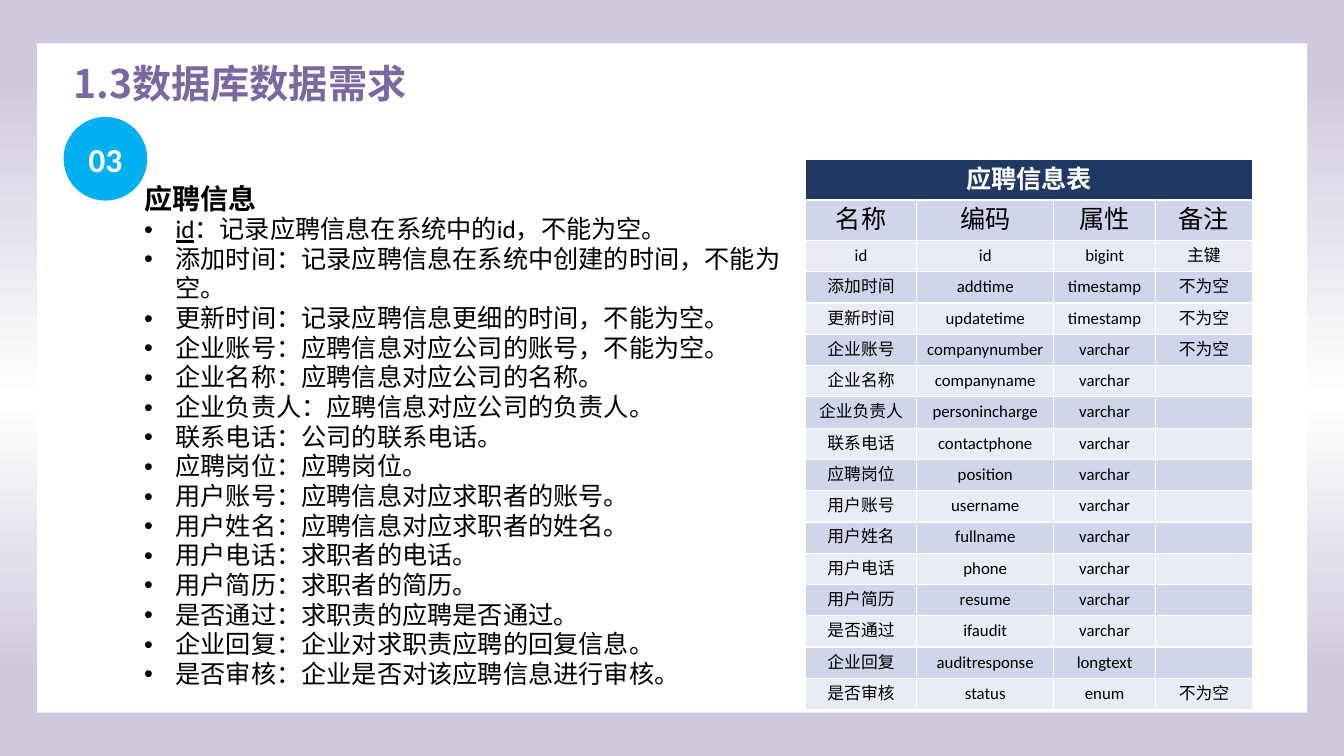
import pptx
import pptx.util
import pptx.dml.color
import pptx.enum.shapes
import pptx.enum.text
import pptx.oxml.ns
from lxml import etree

Pt = pptx.util.Pt
qn = pptx.oxml.ns.qn
ALIGN = pptx.enum.text.PP_ALIGN
ANCHOR = pptx.enum.text.MSO_ANCHOR

LAVENDER, WHITE, BLACK = "D0C9DD", "FFFFFF", "000000"
PURPLE, SKY, NAVY = "7B68A1", "00B0F0", "203864"
BANDS = ("E9EBF5", "CFD5EA")

FIELD_NOTES = [
    ("id", "：记录应聘信息在系统中的id，不能为空。"),
    ("", "添加时间：记录应聘信息在系统中创建的时间，不能为空。"),
    ("", "更新时间：记录应聘信息更细的时间，不能为空。"),
    ("", "企业账号：应聘信息对应公司的账号，不能为空。"),
    ("", "企业名称：应聘信息对应公司的名称。"),
    ("", "企业负责人：应聘信息对应公司的负责人。"),
    ("", "联系电话：公司的联系电话。"),
    ("", "应聘岗位：应聘岗位。"),
    ("", "用户账号：应聘信息对应求职者的账号。"),
    ("", "用户姓名：应聘信息对应求职者的姓名。"),
    ("", "用户电话：求职者的电话。"),
    ("", "用户简历：求职者的简历。"),
    ("", "是否通过：求职责的应聘是否通过。"),
    ("", "企业回复：企业对求职责应聘的回复信息。"),
    ("", "是否审核：企业是否对该应聘信息进行审核。"),
]

FIELDS = [
    ("名称", "编码", "属性", "备注"),
    ("id", "id", "bigint", "主键"),
    ("添加时间", "addtime", "timestamp", "不为空"),
    ("更新时间", "updatetime", "timestamp", "不为空"),
    ("企业账号", "companynumber", "varchar", "不为空"),
    ("企业名称", "companyname", "varchar", ""),
    ("企业负责人", "personincharge", "varchar", ""),
    ("联系电话", "contactphone", "varchar", ""),
    ("应聘岗位", "position", "varchar", ""),
    ("用户账号", "username", "varchar", ""),
    ("用户姓名", "fullname", "varchar", ""),
    ("用户电话", "phone", "varchar", ""),
    ("用户简历", "resume", "varchar", ""),
    ("是否通过", "ifaudit", "varchar", ""),
    ("企业回复", "auditresponse", "longtext", ""),
    ("是否审核", "status", "enum", "不为空"),
]


def color(hex_string):
    return pptx.dml.color.RGBColor.from_string(hex_string)


def paint(target, hex_string):
    target.fill.solid()
    target.fill.fore_color.rgb = color(hex_string)


def write(para, text, size=18, font="Calibri", ink=BLACK, bold=False,
          underline=False, align=ALIGN.LEFT):
    """Append a formatted span; empty text only fixes the line height."""
    para.alignment = align
    if not text:
        etree.SubElement(para._p, qn("a:endParaRPr"), sz=str(size * 100))
        return
    span = para.add_run()
    span.text = text
    span.font.size = Pt(size)
    span.font.bold = bold
    span.font.underline = underline
    span.font.color.rgb = color(ink)
    span.font.name = font
    etree.SubElement(span.font._element, qn("a:ea"), typeface=font)


def add_bullet(para, indent):
    props = para._p.get_or_add_pPr()
    props.set("marL", str(Pt(indent)))
    props.set("indent", str(-Pt(indent)))
    etree.SubElement(props, qn("a:buFont"), typeface="Arial")
    etree.SubElement(props, qn("a:buChar"), char="•")


def add_borders(cell):
    props = cell._tc.get_or_add_tcPr()
    for index, side in enumerate(("lnL", "lnR", "lnT", "lnB")):
        line = etree.Element(qn("a:" + side), w=str(Pt(1)))
        fill = etree.SubElement(line, qn("a:solidFill"))
        etree.SubElement(fill, qn("a:srgbClr"), val=WHITE)
        props.insert(index, line)


def add_panel(page, kind, fill, left, top, width, height):
    shape = page.shapes.add_shape(kind, Pt(left), Pt(top), Pt(width), Pt(height))
    shape.shadow.inherit = False
    paint(shape, fill)
    shape.line.fill.background()
    return shape


def add_text_frame(page, left, top, width, height):
    box = page.shapes.add_textbox(Pt(left), Pt(top), Pt(width), Pt(height))
    box.text_frame.word_wrap = True
    return box.text_frame


def draw_background(page):
    fill = page.background.fill
    fill.gradient()
    fill.gradient_angle = 270
    stops = next(page.element.iter(qn("a:gsLst")))
    for stop in list(stops):
        stops.remove(stop)
    for percent, shade in ((10, LAVENDER), (53, WHITE), (89, LAVENDER)):
        stop = etree.SubElement(stops, qn("a:gs"), pos=str(percent * 1000))
        etree.SubElement(stop, qn("a:srgbClr"), val=shade)
    add_panel(page, pptx.enum.shapes.MSO_SHAPE.RECTANGLE, WHITE,
              26.6, 31, 907.2, 478.1)


def draw_title(page, left, top, width, height):
    frame = add_text_frame(page, left, top, width, height)
    write(frame.paragraphs[0], "1.3数据库数据需求", size=28,
          font="Noto Sans CJK SC", ink=PURPLE, bold=True)


def draw_number(page, left, top, size):
    badge = add_panel(page, pptx.enum.shapes.MSO_SHAPE.OVAL, SKY,
                      left, top, size, size)
    badge.text_frame.vertical_anchor = ANCHOR.MIDDLE
    write(badge.text_frame.paragraphs[0], "03", size=24, ink=WHITE, bold=True,
          align=ALIGN.CENTER)


def draw_notes(page, left, top, width, height):
    frame = add_text_frame(page, left, top, width, height)
    write(frame.paragraphs[0], "应聘信息", size=20, bold=True)
    for key, note in FIELD_NOTES:
        para = frame.add_paragraph()
        add_bullet(para, 22.5)
        para.line_spacing = 0.98
        if key:
            write(para, key, underline=True)
        write(para, note)


def draw_field_table(page, left, top, widths, head_height, row_height):
    heights = [head_height] * 2 + [row_height] * (len(FIELDS) - 1)
    table = page.shapes.add_table(
        len(heights), len(widths), Pt(left), Pt(top),
        Pt(sum(widths)), Pt(sum(heights))).table
    table.first_row = table.horz_banding = False
    for column, width in zip(table.columns, widths):
        column.width = Pt(width)
    for row, height in zip(table.rows, heights):
        row.height = Pt(height)

    heading = table.cell(0, 0)
    heading.merge(table.cell(0, len(widths) - 1))
    paint(heading, NAVY)
    write(heading.text_frame.paragraphs[0], "应聘信息表", ink=WHITE, bold=True,
          align=ALIGN.CENTER)
    for row, entries in enumerate(FIELDS, start=1):
        for column, text in enumerate(entries):
            cell = table.cell(row, column)
            paint(cell, BANDS[row % 2])
            add_borders(cell)
            write(cell.text_frame.paragraphs[0], text,
                  size=18 if row == 1 else 12, align=ALIGN.CENTER)


def main():
    deck = pptx.Presentation()
    deck.slide_width, deck.slide_height = Pt(960), Pt(540)
    page = deck.slides.add_slide(deck.slide_layouts[6])
    draw_background(page)
    draw_title(page, 45.4, 38.9, 285.8, 41)
    draw_field_table(page, 575.3, 113.8, (79.5, 98, 72.5, 69.5), 29, 22.36)
    draw_number(page, 45.4, 83.5, 59.8)
    draw_notes(page, 95.8, 126, 469.4, 380.2)
    deck.save("out.pptx")


if __name__ == "__main__":
    main()
